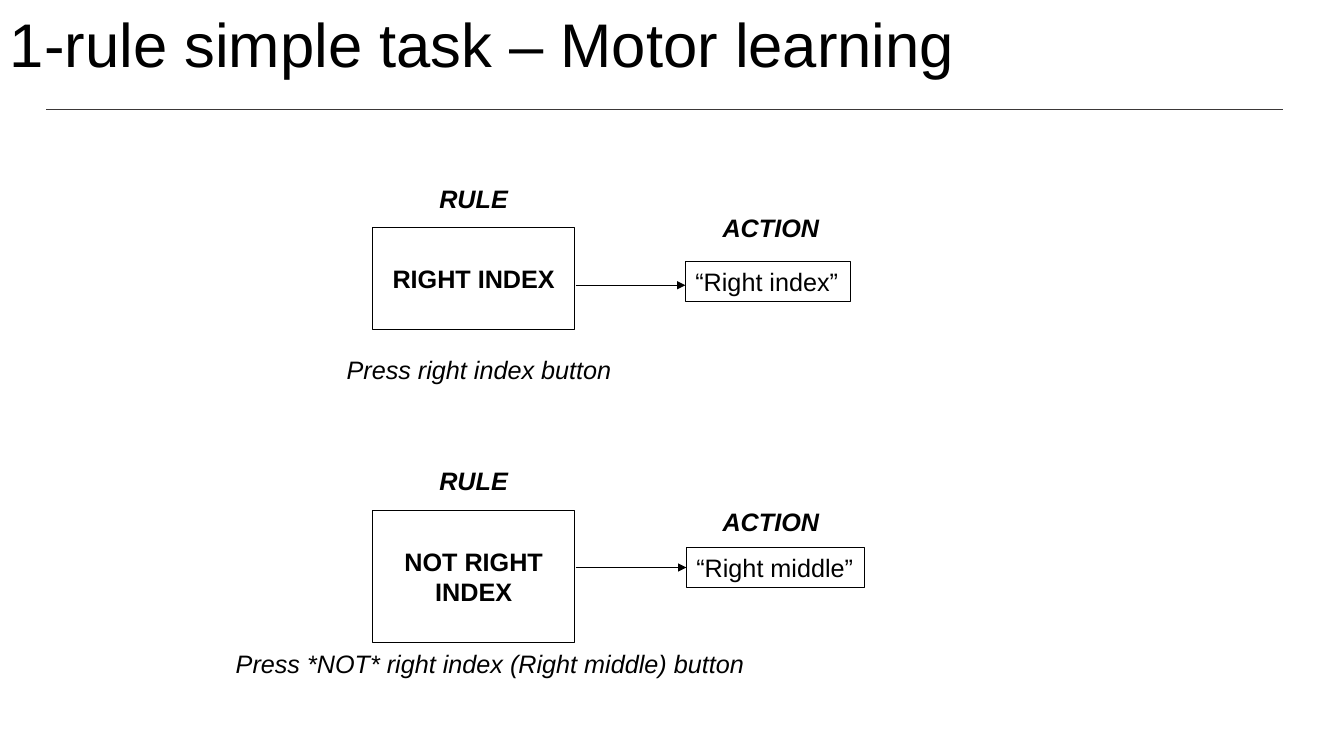
"""Build a slide showing two rule-to-action motor learning tasks."""
import pptx
import pptx.util
import pptx.dml.color
import pptx.enum.shapes
import pptx.enum.text
import pptx.oxml.ns
import pptx.oxml.xmlchemy

TITLE = "1-rule simple task – Motor learning"
TASKS = [
    {
        "top": 22.6, "rule": "RIGHT INDEX", "rule_rows": 10.1,
        "action": "“Right index”", "action_box": (68, 25.9, 16.4, 4), "action_label_top": 20.6,
        "caption": "Press right index button", "caption_box": (33.4, 34.7, 28.5, 4),
    },
    {
        "top": 50.6, "rule": "NOT RIGHT INDEX", "rule_rows": 13.1,
        "action": "“Right middle”", "action_box": (68.1, 54.3, 17.7, 4), "action_label_top": 49.7,
        "caption": "Press *NOT* right index (Right middle) button",
        "caption_box": (22.4, 63.8, 54.2, 4),
    },
]
COLORS = {"ink": "000000", "divider": "3B3838"}
FONT = "Arial"
GRID_INCHES = 0.1
SLIDE_COLUMNS, SLIDE_ROWS = 133.33, 75
RULE_LEFT, RULE_COLUMNS = 37, 20
RULE_LABEL_RISE, ARROW_DROP = 4.9, 5.7
ARROW_START, ARROW_END = 57.1, 68


def grid(*cells):
    return [pptx.util.Inches(cell * GRID_INCHES) for cell in cells]


def color(name):
    return pptx.dml.color.RGBColor.from_string(COLORS[name])


def write(shape, text, size=18, bold=False, italic=False, centred=False, wrap=False):
    frame = shape.text_frame
    frame.word_wrap = wrap
    frame.vertical_anchor = pptx.enum.text.MSO_ANCHOR.MIDDLE
    frame.text = text
    paragraph = frame.paragraphs[0]
    alignments = pptx.enum.text.PP_ALIGN
    paragraph.alignment = alignments.CENTER if centred else alignments.LEFT
    font = paragraph.font
    font.name, font.size = FONT, pptx.util.Pt(size)
    font.bold, font.italic = bold, italic
    font.color.rgb = color("ink")
    return paragraph


def add_text(slide, box, text, **style):
    return write(slide.shapes.add_textbox(*grid(*box)), text, **style)


def add_box(slide, box, text, **style):
    shape = slide.shapes.add_shape(pptx.enum.shapes.MSO_SHAPE.RECTANGLE, *grid(*box))
    shape.shadow.inherit = False
    shape.fill.background()
    shape.line.color.rgb = color("ink")
    shape.line.width = pptx.util.Pt(0.75)
    write(shape, text, **style)
    return shape


def add_line(slide, left, right, row, ink, arrow=False):
    line = slide.shapes.add_connector(
        pptx.enum.shapes.MSO_CONNECTOR.STRAIGHT, *grid(left, row, right, row))
    line.line.color.rgb = color(ink)
    line.line.width = pptx.util.Pt(0.5)
    properties = line.element.spPr
    properties.append(pptx.oxml.xmlchemy.OxmlElement("a:effectLst"))
    if arrow:
        head = pptx.oxml.xmlchemy.OxmlElement("a:tailEnd")
        head.set("type", "triangle")
        properties.find(pptx.oxml.ns.qn("a:ln")).append(head)
    return line


def add_task(slide, task):
    top = task["top"]
    arrow_row = top + ARROW_DROP
    add_box(slide, (RULE_LEFT, top, RULE_COLUMNS, task["rule_rows"]), task["rule"],
            bold=True, centred=True, wrap=True)
    arrow = add_line(slide, ARROW_START, ARROW_END, arrow_row, "ink", arrow=True)
    action = add_box(slide, task["action_box"], task["action"])
    _, action_top, _, action_rows = task["action_box"]
    if abs(action_top + action_rows / 2 - arrow_row) < 0.1:
        arrow.end_connect(action, 1)
    add_text(slide, task["caption_box"], task["caption"], italic=True)
    add_text(slide, (42.6, top - RULE_LABEL_RISE, 8.9, 4), "RULE", bold=True, italic=True)
    add_text(slide, (70.7, task["action_label_top"], 11.7, 4), "ACTION", bold=True, italic=True)


def main():
    presentation = pptx.Presentation()
    presentation.slide_width, presentation.slide_height = grid(SLIDE_COLUMNS, SLIDE_ROWS)
    slide = presentation.slides.add_slide(presentation.slide_layouts[6])
    add_line(slide, 4.6, 127.3, 10.9, "divider")
    title = add_text(slide, (0, 0, SLIDE_COLUMNS, 9.5), TITLE, size=44, wrap=True)
    title.line_spacing = 0.9
    for task in TASKS:
        add_task(slide, task)
    presentation.save("out.pptx")


if __name__ == "__main__":
    main()
